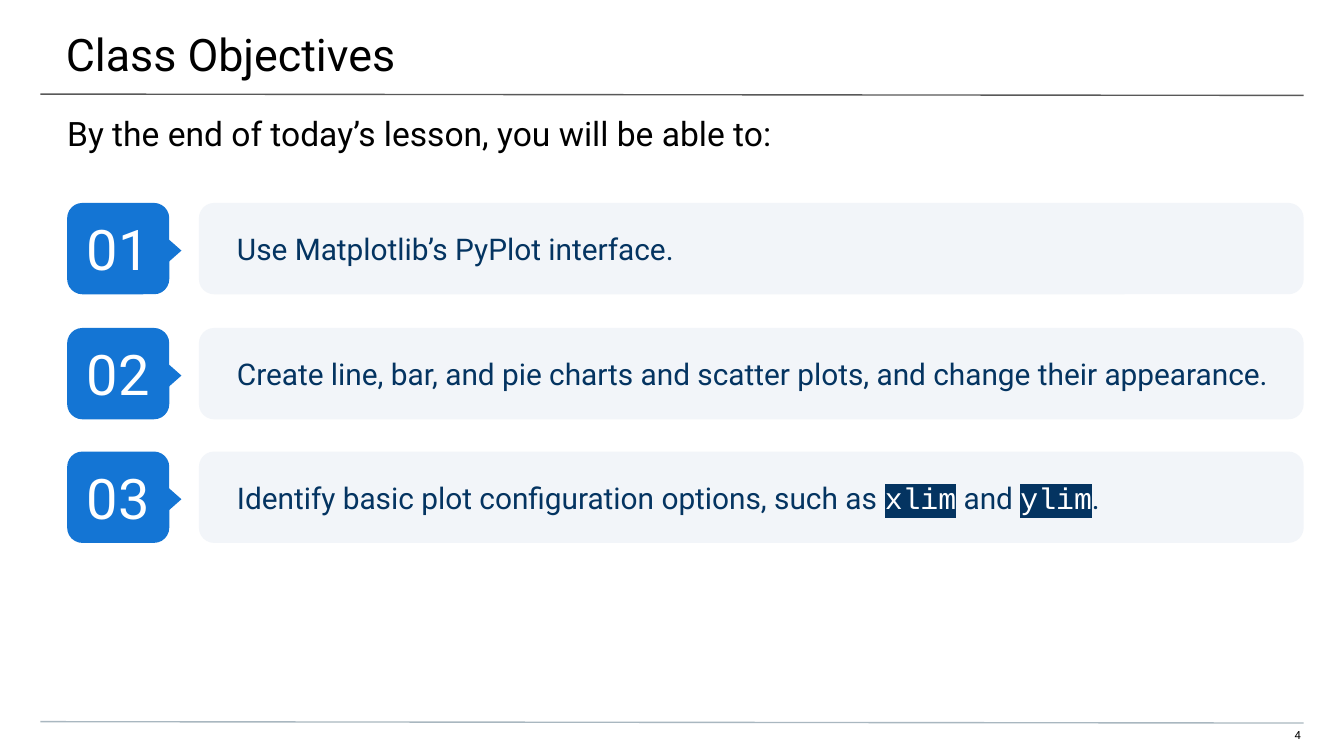
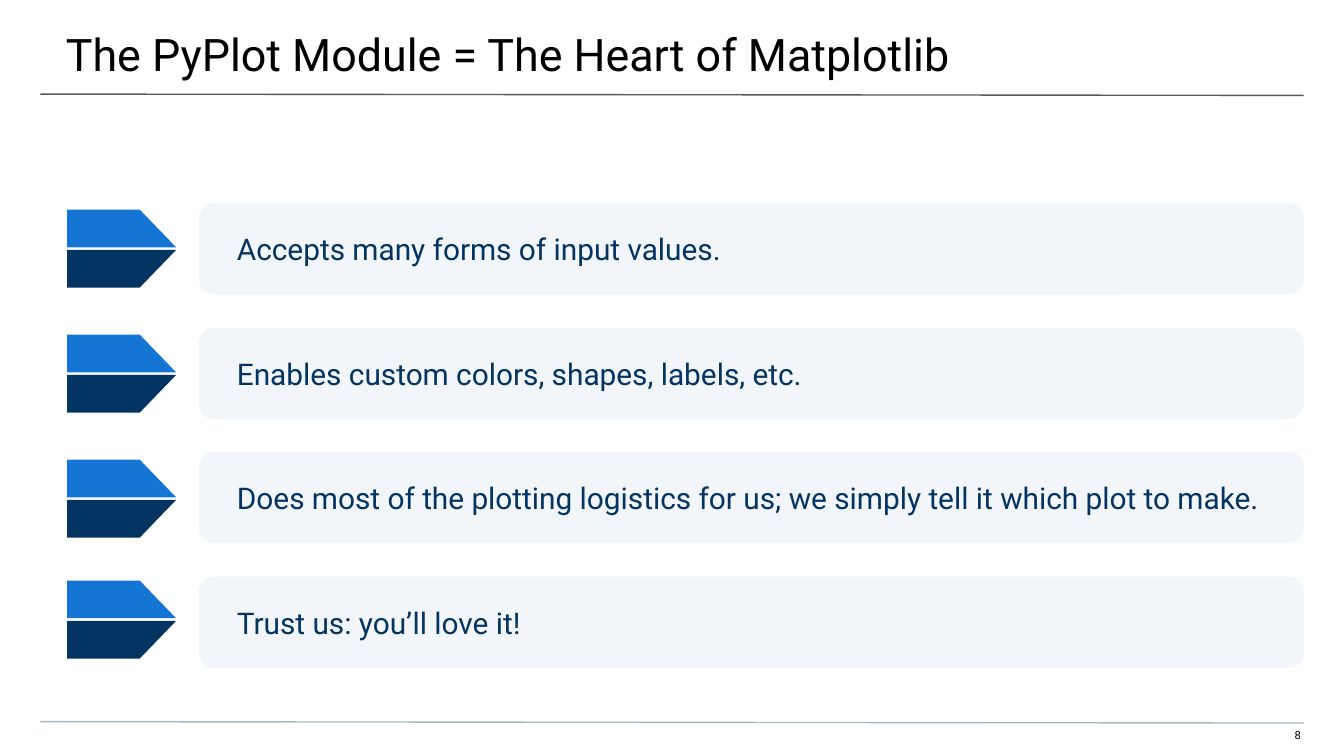
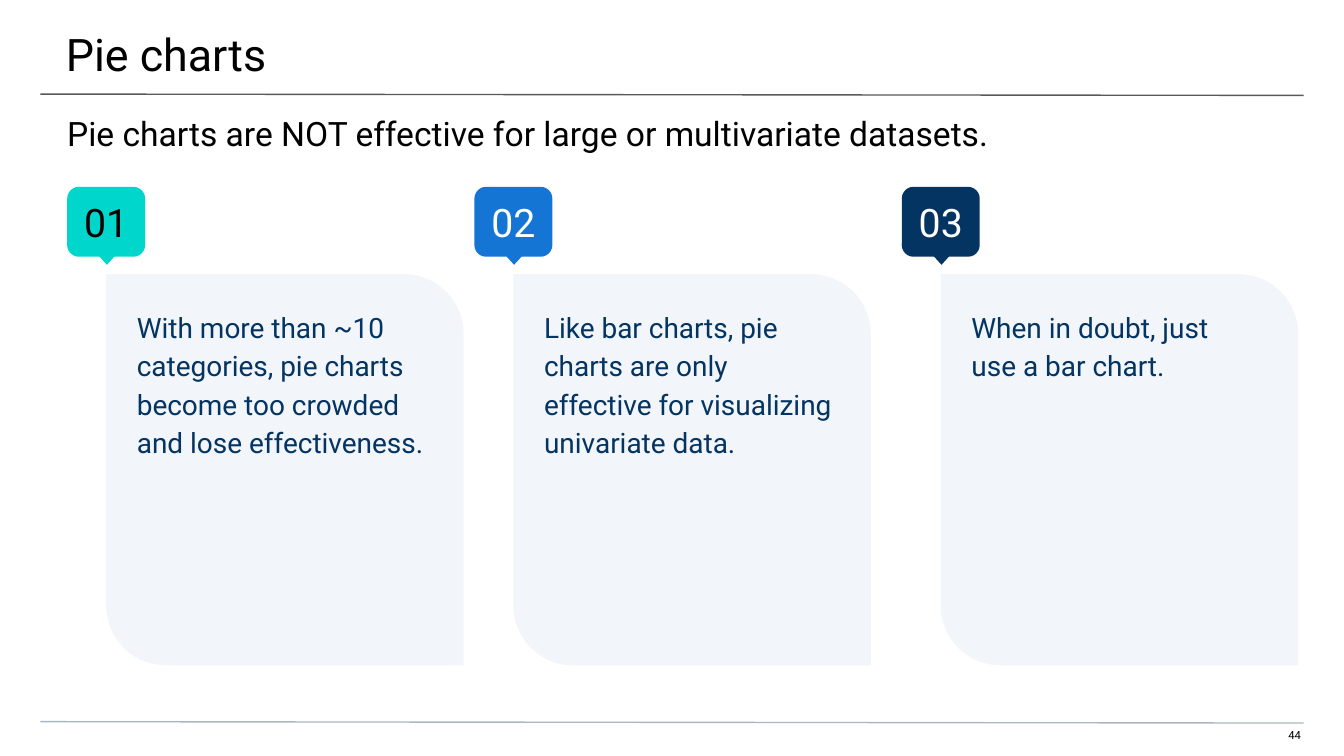
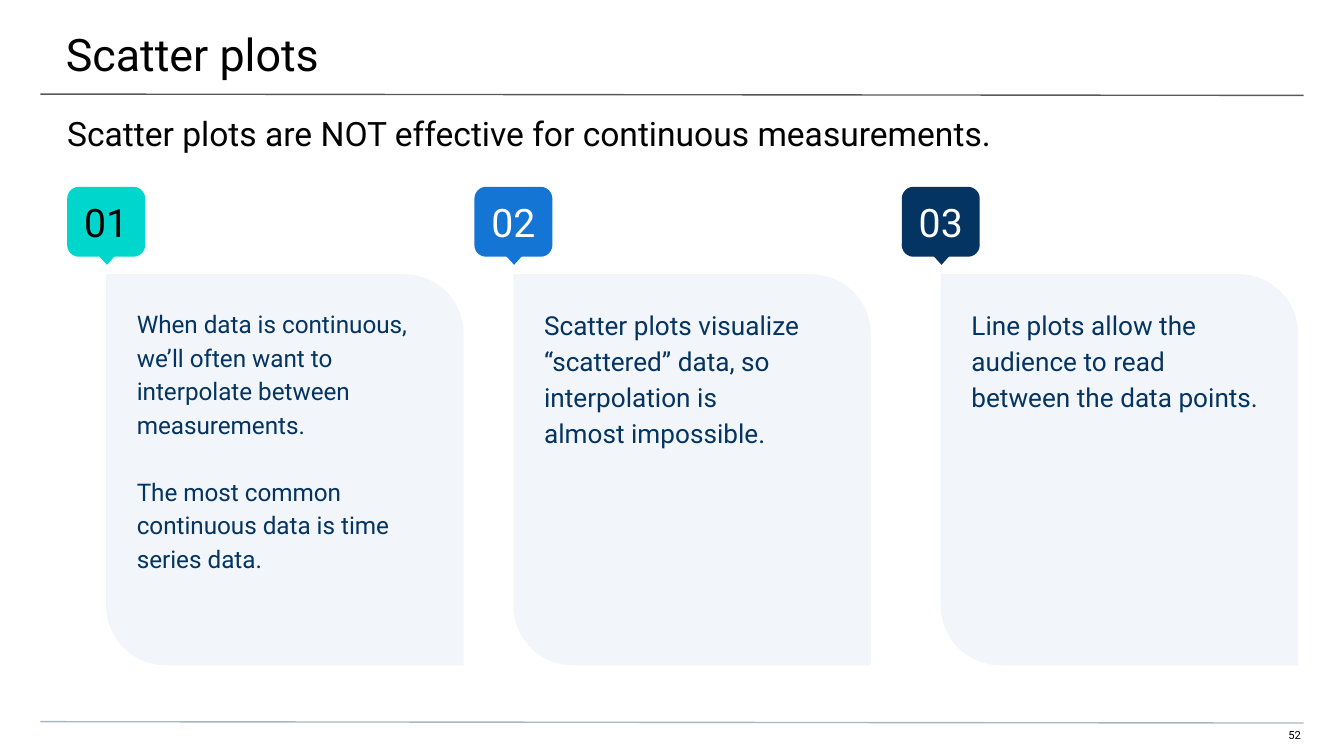
from copy import deepcopy

from lxml.etree import SubElement
from pptx import Presentation
from pptx.dml.color import RGBColor
from pptx.enum.shapes import MSO_CONNECTOR, MSO_SHAPE as SHAPE
from pptx.enum.text import MSO_ANCHOR as ANCHOR, PP_ALIGN as ALIGN
from pptx.oxml import parse_xml
from pptx.oxml.ns import nsdecls, qn
from pptx.util import Emu, Pt

PX = 9144  # 100 px to the inch
SLIDE_WIDTH = 1000 * PX
SLIDE_HEIGHT = SLIDE_WIDTH * 9 // 16
BLACK = RGBColor(0x00, 0x00, 0x00)
WHITE = RGBColor(0xFF, 0xFF, 0xFF)
NAVY = RGBColor(0x04, 0x34, 0x61)
BLUE = RGBColor(0x14, 0x75, 0xD4)
TEAL = RGBColor(0x00, 0xD6, 0xCB)
PALE = RGBColor(0xF2, 0xF5, 0xF9)
TITLE_RULE = RGBColor(0x59, 0x59, 0x59)
FOOTER_RULE = RGBColor(0xA9, 0xB7, 0xC0)
FONT, CODE_FONT = "Roboto", "Courier New"
CORNER = 0.167

ROW_TOPS = [151 + round(92.67 * i) for i in range(4)]
ARROW_TOPS = [156, 249, 342, 432]
CARD_LEFTS = [50, 353, 671]
CARD_COLORS = [(TEAL, BLACK), (BLUE, WHITE), (NAVY, WHITE)]
ARROW_HALVES = [
    (BLUE, [(0, 0), (54, 0), (81, 28), (0, 28)]),
    (NAVY, [(0, 30), (81, 30), (54, 58), (0, 58)]),
]

# Text in backticks is code; "\v" breaks a line.
# Cards hold a text size and a list of paragraphs.
SLIDES = [
    dict(number=4, title="Class Objectives",
         subtitle="By the end of today’s lesson, you will be able to:",
         kind="numbered", items=[
             "Use Matplotlib’s PyPlot interface.",
             "Create line, bar, and pie charts and scatter plots, and change their appearance.",
             "Identify basic plot configuration options, such as `xlim` and `ylim`."]),
    dict(number=8, title="The PyPlot Module = The Heart of Matplotlib",
         subtitle=None, kind="arrows", items=[
             "Accepts many forms of input values.",
             "Enables custom colors, shapes, labels, etc.",
             "Does most of the plotting logistics for us; we simply tell it which plot to make.",
             "Trust us: you’ll love it!"]),
    dict(number=44, title="Pie charts",
         subtitle="Pie charts are NOT effective for large or multivariate datasets.",
         kind="cards", items=[
             (15, ["With more than ~10 categories, pie charts become too crowded "
                   "and lose effectiveness."]),
             (15, ["Like bar charts, pie charts are only effective for visualizing "
                   "univariate data."]),
             (15, ["When in doubt, just \vuse a bar chart."])]),
    dict(number=52, title="Scatter plots",
         subtitle="Scatter plots are NOT effective for continuous measurements.",
         kind="cards", items=[
             (13, ["When data is continuous, we’ll often want to interpolate "
                   "between measurements.",
                   "The most common continuous data is time series data."]),
             (14, ["Scatter plots visualize “scattered” data, so interpolation is "
                   "\valmost impossible."]),
             (14, ["Line plots allow the audience to read between the data points."])]),
]


def px(*values):
    return [Emu(v * PX) for v in values]


def highlight(r, color):
    fill = r.font._element.find(qn("a:solidFill"))
    fill.addnext(parse_xml(
        f'<a:highlight {nsdecls("a")}><a:srgbClr val="{color}"/></a:highlight>'))


def add_runs(p, text, size, color):
    """Fill a paragraph; every second part between backticks is code."""
    for i, part in enumerate(text.split("`")):
        is_code = i % 2 == 1
        for j, line in enumerate(part.split("\v")):
            if j:
                p.add_line_break()
            r = p.add_run()
            r.text = line
            look = dict(name=CODE_FONT if is_code else FONT, size=Pt(size))
            for key, value in look.items():
                setattr(r.font, key, value)
            r.font.color.rgb = WHITE if is_code else color
            if is_code:
                highlight(r, NAVY)
    for br in p._p.findall(qn("a:br")):
        br.append(deepcopy(p.runs[0].font._element))


def write(sp, paragraphs, size, color, insets=(10, 10, 10, 10), anchor=ANCHOR.TOP,
          align=ALIGN.LEFT, line_spacing=None, gap=0):
    tf = sp.text_frame
    left, top, right, bottom = px(*insets)
    frame = dict(word_wrap=True, vertical_anchor=anchor, margin_left=left,
                 margin_top=top, margin_right=right, margin_bottom=bottom)
    for key, value in frame.items():
        setattr(tf, key, value)
    for i, text in enumerate(paragraphs):
        p = tf.add_paragraph() if i else tf.paragraphs[0]
        p.alignment, p.line_spacing = align, line_spacing
        if i:
            p.space_before = Pt(gap)
        add_runs(p, text, size, color)


def paint(sp, color):
    sp.shadow.inherit = False
    sp.fill.solid()
    sp.fill.fore_color.rgb = color
    sp.line.fill.background()


def add_shape(parent, kind, box, color, adjustments=(), rotation=0):
    sp = parent.shapes.add_shape(kind, *px(*box))
    paint(sp, color)
    for i, value in enumerate(adjustments):
        sp.adjustments[i] = value
    sp.rotation = rotation
    return sp


def add_rule(s, y, color):
    line = s.shapes.add_connector(MSO_CONNECTOR.STRAIGHT, *px(30, y, 970, y + 1))
    line.line.color.rgb = color
    line.line.width = Pt(0.75)
    SubElement(line._element.spPr, qn("a:effectLst"))


def add_frame(s, number, title, subtitle):
    """Draw the title, rules and page number that all slides share."""
    add_rule(s, 70, TITLE_RULE)
    add_rule(s, 537, FOOTER_RULE)
    texts = [((941, 542, 29, 12), f"{number} ", 6, (0, 0, 0, 10), ALIGN.RIGHT),
             ((-1, 0, 1003, 58), title, 24, (50, 20, 30, 10), ALIGN.LEFT)]
    if subtitle:
        texts.append(((0, 74, 1000, 40), subtitle, 18, (50, 10, 50, 0), ALIGN.LEFT))
    for box, text, size, insets, align in texts:
        write(s.shapes.add_textbox(*px(*box)), [text], size, BLACK, insets, align=align)


def add_badge(s, number, box, pointer, rotation, size, fill, color):
    group = s.shapes.add_group_shape()
    sp = add_shape(group, SHAPE.ROUNDED_RECTANGLE, box, fill, [CORNER])
    write(sp, [f"{number:02}"], size, color, anchor=ANCHOR.MIDDLE, align=ALIGN.CENTER)
    add_shape(group, SHAPE.FLOWCHART_EXTRACT, pointer, fill, rotation=rotation)


def add_row_bar(s, top, text):
    sp = add_shape(s, SHAPE.ROUNDED_RECTANGLE, (148, top, 822, 68), PALE, [CORNER])
    write(sp, [text], 16, NAVY, (25, 10, 10, 10), ANCHOR.MIDDLE)


def add_numbered(s, items):
    for i, (top, text) in enumerate(zip(ROW_TOPS, items), 1):
        add_row_bar(s, top, text)
        add_badge(s, i, (50, top, 76, 68), (106, top + 25, 37, 21), 90, 30, BLUE, WHITE)


def add_arrows(s, items):
    for top, arrow_top, text in zip(ROW_TOPS, ARROW_TOPS, items):
        add_row_bar(s, top, text)
        group = s.shapes.add_group_shape()
        for color, outline in ARROW_HALVES:
            points = [(50 + x, arrow_top + y) for x, y in outline]
            builder = group.shapes.build_freeform(*points[0], scale=PX)
            builder.add_line_segments(points[1:], close=True)
            paint(builder.convert_to_shape(), color)


def add_cards(s, items):
    for i, (left, (fill, color), (size, paragraphs)) in enumerate(
            zip(CARD_LEFTS, CARD_COLORS, items), 1):
        card = add_shape(s, SHAPE.ROUND_2_DIAG_RECTANGLE, (left + 29, 204, 266, 291),
                         PALE, [0, CORNER])
        write(card, paragraphs, size, NAVY, line_spacing=1.15, gap=18)
        add_badge(s, i, (left, 139, 58, 52), (left + 15, 181, 29, 16), 180, 21, fill, color)


BODIES = dict(numbered=add_numbered, arrows=add_arrows, cards=add_cards)


def main():
    prs = Presentation()
    prs.slide_width, prs.slide_height = SLIDE_WIDTH, SLIDE_HEIGHT
    for slide in SLIDES:
        s = prs.slides.add_slide(prs.slide_layouts[6])
        add_frame(s, slide["number"], slide["title"], slide["subtitle"])
        BODIES[slide["kind"]](s, slide["items"])
    prs.save("out.pptx")


if __name__ == "__main__":
    main()
